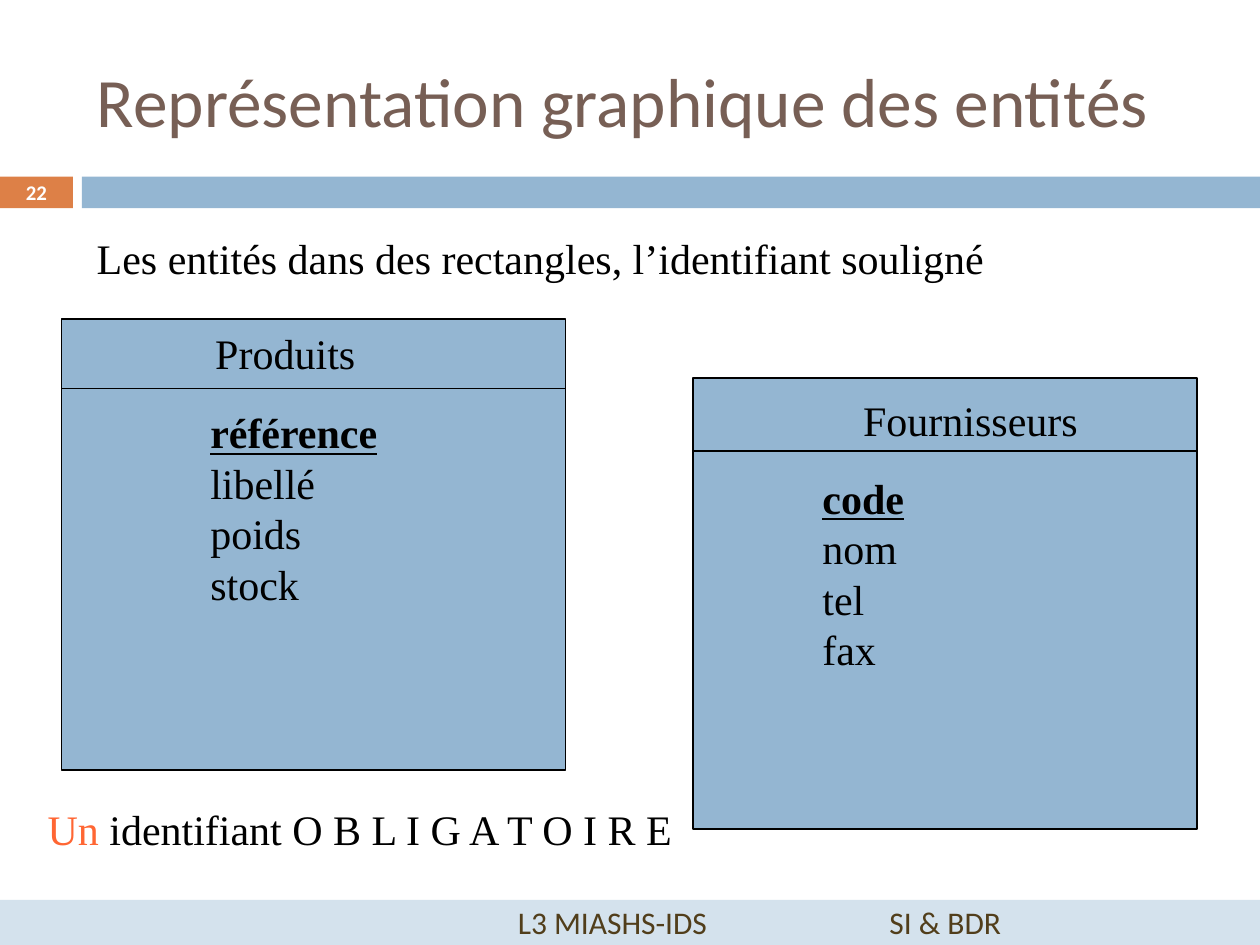
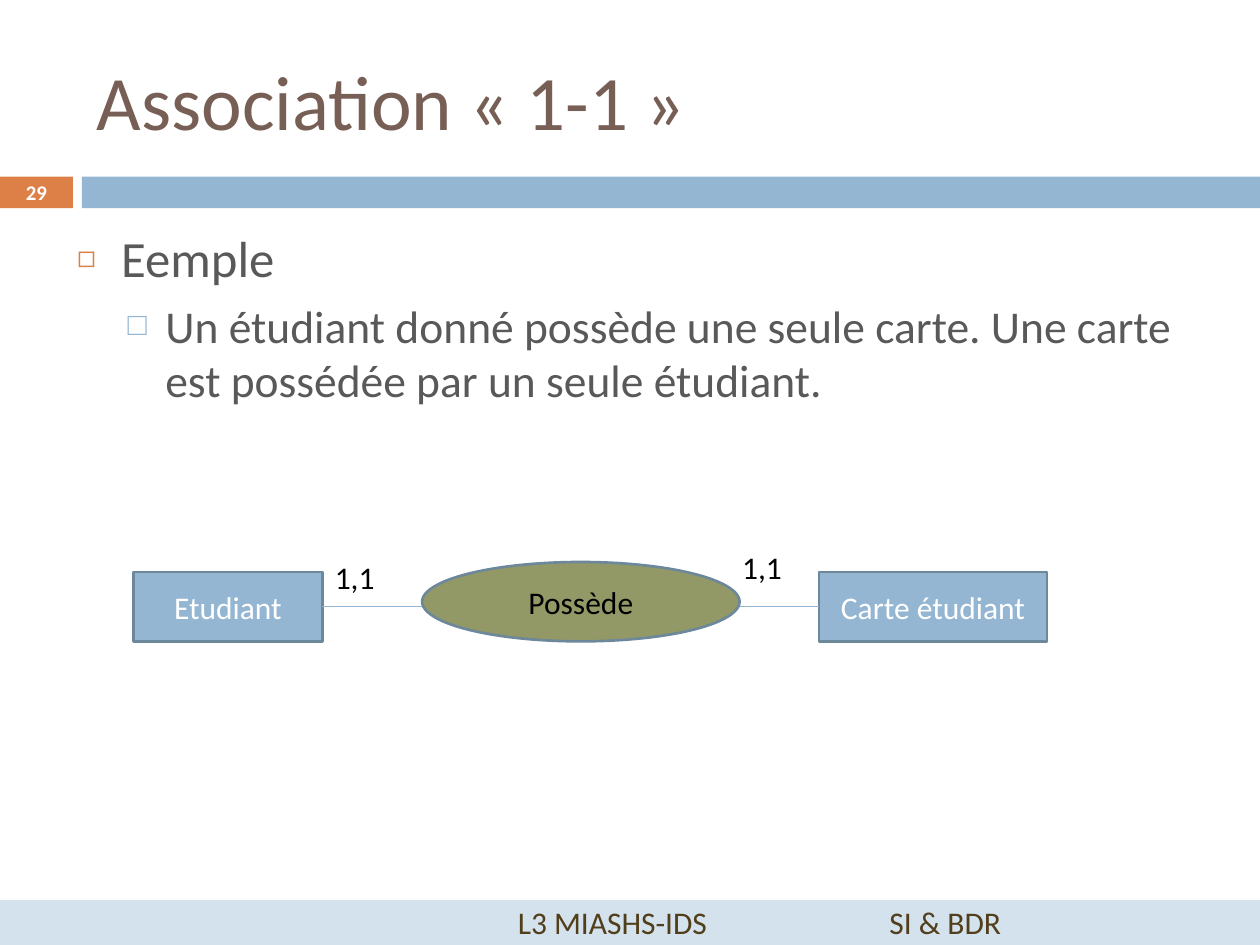
"""Build two slides on entities and associations in data modelling."""
from lxml import etree
from pptx import Presentation
from pptx.dml.color import RGBColor
from pptx.enum.shapes import MSO_CONNECTOR, MSO_SHAPE
from pptx.enum.text import MSO_ANCHOR, MSO_AUTO_SIZE, PP_ALIGN
from pptx.oxml.ns import qn
from pptx.util import Cm, Pt

RECT, OVAL = MSO_SHAPE.RECTANGLE, MSO_SHAPE.OVAL
LINE = MSO_CONNECTOR.STRAIGHT
MIDDLE, TOP = MSO_ANCHOR.MIDDLE, MSO_ANCHOR.TOP
LEFT, CENTER = PP_ALIGN.LEFT, PP_ALIGN.CENTER
FIXED = MSO_AUTO_SIZE.NONE

BLUE, ORANGE, PALE, OLIVE = "94B6D2", "DD8047", "D4E2ED", "929966"
BROWN, UMBER, GREY, EDGE = "775F55", "513E1B", "595959", "6D879B"
BLACK, WHITE, CORAL = "000000", "FFFFFF", "FF6633"
SERIF = {"font": "Times New Roman", "size": 24}

WIDE, HIGH = 25.4, 19.05
BAND = {"top": 3.56, "high": 0.64, "tab": 1.47, "gap": 0.18}
FOOT = {"text": "L3 MIASHS-IDS\tSI & BDR", "high": 0.91, "left": 10.44, "stop": 7.49}

CARDS = [
    {"name": "Fournisseurs", "at": (13.97, 7.62), "rule": 1.47,
     "head": (3.18, 0.2, 4.88), "list": (2.36, 1.78),
     "key": "code", "rest": ["nom", "tel", "fax"]},
    {"name": "Produits", "at": (1.24, 6.43), "rule": 1.4,
     "head": (2.85, 0.05, 3.33), "list": (2.75, 1.65),
     "key": "référence", "rest": ["libellé", "poids", "stock"]},
]
CARD = (10.16, 9.09)
NOTES = [
    ((0.71, 16.08, 13.26, 1.27),
     [("Un", {"color": CORAL}), (" identifiant O B L I G A T O I R E", {})]),
    ((1.7, 4.57, 18.57, 1.27),
     "Les entités dans des rectangles, l’identifiant souligné"),
]

POINTS = [
    {"text": "Eemple", "size": 29, "left": 0.89, "hang": 0.89,
     "mark": "◻", "tint": ORANGE, "part": 60, "before": 0},
    {"text": "Un étudiant donné possède une seule carte. "
             "Une carte est possédée par un seule étudiant.",
     "size": 26, "left": 1.78, "hang": 0.76,
     "mark": "□", "tint": BLUE, "part": 70, "before": 5.5},
]
ENDS = [("Etudiant", 2.69, 3.81), ("Carte étudiant", 16.51, 4.6)]
END_TOP, END_HIGH = 11.53, 1.4
LINK = ("Possède", (8.51, 11.33, 6.4, 1.6))
COUNTS = [("1,1", (6.5, 11.13, 1.8, 1.02)), ("1,1", (14.71, 10.92, 1.8, 1.02))]


def tone(code):
    """Turn a hex string into a colour."""
    return RGBColor.from_string(code)


def cms(*nums):
    """Turn numbers into centimetre lengths."""
    return [Cm(num) for num in nums]


def write(frame, *paras, align=LEFT, anchor=TOP, wrap=True, **base):
    """Fill a frame; a paragraph is a string or a list of (text, format) runs."""
    frame.word_wrap, frame.auto_size = wrap, FIXED
    frame.vertical_anchor = anchor
    for num, para in enumerate(paras):
        line = frame.add_paragraph() if num else frame.paragraphs[0]
        line.alignment = align
        for text, extra in [(para, {})] if isinstance(para, str) else para:
            look = {"font": "Calibri", "size": 18, "color": BLACK} | base | extra
            run = line.add_run()
            run.text = text
            run.font.name, run.font.size = look["font"], Pt(look["size"])
            run.font.color.rgb = tone(look["color"])
            run.font.bold = look.get("bold", False)
            run.font.underline = look.get("under", False)
    return frame


def label(slide, at, *paras, **form):
    """Add a text box."""
    return write(slide.shapes.add_textbox(*cms(*at)).text_frame, *paras, **form)


def block(slide, at, fill, edge=None, width=1, kind=RECT):
    """Add a filled shape, with an outline if an edge colour is given."""
    shape = slide.shapes.add_shape(kind, *cms(*at))
    shape.shadow.inherit = False
    shape.fill.solid()
    shape.fill.fore_color.rgb = tone(fill)
    if edge:
        shape.line.color.rgb, shape.line.width = tone(edge), Pt(width)
    else:
        shape.line.fill.background()
    return shape


def rule(slide, start, end, color, width):
    """Add a straight line without a shadow."""
    line = slide.shapes.add_connector(LINE, *cms(*start, *end))
    line.line.color.rgb, line.line.width = tone(color), Pt(width)
    etree.SubElement(line._element.spPr, qn("a:effectLst"))
    return line


def child(node, tag, **attrs):
    """Append a drawing element with its attributes."""
    return etree.SubElement(node, qn("a:" + tag), attrs)


def frame_slide(deck, plan, title, size, page):
    """Add a slide with its title, bands, page number and footer."""
    slide = deck.slides.add_slide(deck.slide_layouts[plan])
    for hold in list(slide.placeholders):
        if hold.placeholder_format.idx >= 10:
            hold._element.getparent().remove(hold._element)
    head = slide.shapes.title
    head.left, head.top, head.width, head.height = cms(1.7, 0.64, 22.66, 2.74)
    write(head.text_frame, title, size=size, color=BROWN, anchor=MIDDLE)

    top, high, tab = BAND["top"], BAND["high"], BAND["tab"]
    left = tab + BAND["gap"]
    badge = block(slide, (0, top, tab, high), ORANGE).text_frame
    badge.margin_top = badge.margin_bottom = 0
    write(badge, page, size=11.9, color=WHITE, bold=True,
          align=CENTER, anchor=MIDDLE)
    block(slide, (left, top, WIDE - left, high), BLUE)

    foot = block(slide, (0, HIGH - FOOT["high"], WIDE, FOOT["high"]), PALE).text_frame
    foot.margin_left = Cm(FOOT["left"])
    props = foot.paragraphs[0]._p.get_or_add_pPr()
    child(child(props, "tabLst"), "tab", pos=str(Cm(FOOT["stop"])), algn="l")
    write(foot, FOOT["text"], color=UMBER, anchor=MIDDLE)
    return slide


def draw_card(slide, card):
    """Draw one entity with its name, rule and fields."""
    left, top = card["at"]
    wide, high = CARD
    block(slide, (left, top, wide, high), BLUE, BLACK)
    line = top + card["rule"]
    rule(slide, (left, line), (left + wide, line), BLACK, 1)
    dx, dy = card["list"]
    key = [(card["key"], {"bold": True, "under": True})]
    label(slide, (left + dx, top + dy, 5.51, 5.89), key, *card["rest"], **SERIF)
    dx, dy, span = card["head"]
    label(slide, (left + dx, top + dy, span, 1.27), card["name"], wrap=False, **SERIF)


def fill_body(body):
    """Place the list and give each point its bullet."""
    body.left, body.top, body.width, body.height = cms(1.3, 4.45, 22.66, 12.5)
    paras = [[(point["text"], {"size": point["size"]})] for point in POINTS]
    frame = write(body.text_frame, *paras, color=GREY)
    for level, (line, point) in enumerate(zip(frame.paragraphs, POINTS)):
        line.level = level
        line.space_before = Pt(point["before"])
        props = line._p.get_or_add_pPr()
        props.set("marL", str(Cm(point["left"])))
        props.set("indent", str(-Cm(point["hang"])))
        child(child(props, "buClr"), "srgbClr", val=point["tint"])
        child(props, "buSzPct", val=str(point["part"] * 1000))
        child(props, "buChar", char=point["mark"])


def draw_link(slide):
    """Draw two entities joined by an association."""
    form = {"align": CENTER, "anchor": MIDDLE}
    boxes = []
    for name, left, wide in ENDS:
        box = block(slide, (left, END_TOP, wide, END_HIGH), BLUE, EDGE, 1.5)
        write(box.text_frame, name, color=WHITE, **form)
        boxes.append(box)
    line = rule(slide, (0, 0), (1, 1), BLUE, 0.79)
    line.begin_connect(boxes[0], 3)
    line.end_connect(boxes[1], 1)
    name, at = LINK
    write(block(slide, at, OLIVE, EDGE, 1.5, OVAL).text_frame, name, **form)
    for text, at in COUNTS:
        label(slide, at, text)


def main():
    """Build and save the deck."""
    deck = Presentation()
    deck.slide_width, deck.slide_height = cms(WIDE, HIGH)

    slide = frame_slide(deck, 5, "Représentation graphique des entités", 39.6, "22")
    for card in CARDS:
        draw_card(slide, card)
    for at, text in NOTES:
        label(slide, at, text, wrap=False, **SERIF)

    slide = frame_slide(deck, 1, "Association « 1-1 »", 44, "29")
    fill_body(slide.placeholders[1])
    draw_link(slide)
    deck.save("out.pptx")


if __name__ == "__main__":
    main()
